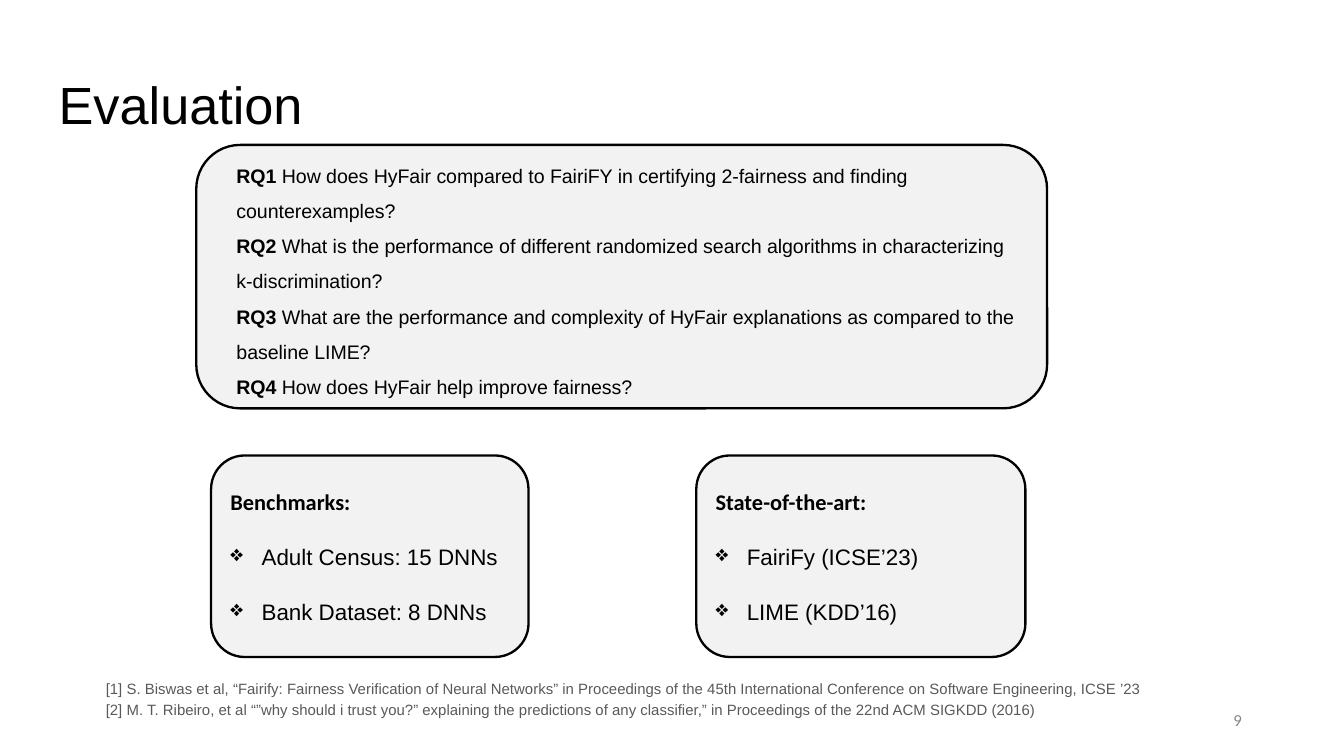
from dataclasses import dataclass

from lxml import etree
from pptx import Presentation
from pptx import util as u
from pptx.dml import color
from pptx.enum import shapes, text
from pptx.oxml import ns


@dataclass(frozen=True)
class Theme:
    black: str = "000000"
    panel: str = "F2F2F2"
    reference: str = "595959"
    number: str = "888888"
    body_font: str = "Arial"
    heading_font: str = "Calibri"
    title_size: float = 28
    question_size: float = 10.5
    card_size: float = 12
    reference_size: float = 8
    number_size: float = 9
    line_width: float = 1.25


THEME = Theme()
NARROW = (0.18, 0.1)  # horizontal and vertical text margins in cm
WIDE = (0.25, 0.25)

QUESTIONS = [
    ("RQ1", "How does HyFair compared to FairiFY in certifying 2-fairness and finding counterexamples?"),
    ("RQ2", "What is the performance of different randomized search algorithms in characterizing k-discrimination?"),
    ("RQ3", "What are the performance and complexity of HyFair explanations as compared to the baseline LIME?"),
    ("RQ4", "How does HyFair help improve fairness?"),
]
CARDS = [
    (3.99, 6.0, "Benchmarks:", ["Adult Census: 15 DNNs", "Bank Dataset: 8 DNNs"]),
    (13.16, 6.22, "State-of-the-art:", ["FairiFy (ICSE’23)", "LIME (KDD’16)"]),
]
REFERENCES = [
    "[1] S. Biswas et al, “Fairify: Fairness Verification of Neural Networks” in Proceedings of the "
    "45th International Conference on Software Engineering, ICSE ’23",
    "[2] M. T. Ribeiro, et al “”why should i trust you?” explaining the predictions of any classifier,” "
    "in Proceedings of the 22nd ACM SIGKDD (2016)",
]


def apply(target, values):
    for name, value in values.items():
        setattr(target, name, value)


def lengths(*values):
    return [u.Cm(value) for value in values]


def format_frame(frame, margins, anchor=text.MSO_ANCHOR.TOP):
    horizontal, vertical = lengths(*margins)
    apply(frame, {
        "word_wrap": True,
        "auto_size": text.MSO_AUTO_SIZE.NONE,
        "vertical_anchor": anchor,
        "margin_left": horizontal,
        "margin_right": horizontal,
        "margin_top": vertical,
        "margin_bottom": vertical,
    })
    return frame


def add_run(paragraph, words, size, rgb=THEME.black, name=THEME.body_font, bold=False):
    run = paragraph.add_run()
    run.text = words
    apply(run.font, {"size": u.Pt(size), "name": name, "bold": bold})
    run.font.color.rgb = color.RGBColor.from_string(rgb)


def add_paragraph(frame, index, **values):
    paragraph = frame.add_paragraph() if index else frame.paragraphs[0]
    apply(paragraph, {"alignment": text.PP_ALIGN.LEFT, **values})
    return paragraph


def indent(paragraph, left, hanging=0, bullet=None):
    properties = paragraph._p.get_or_add_pPr()
    properties.set("marL", str(u.Cm(left)))
    properties.set("indent", str(-u.Cm(hanging)))
    if bullet:
        bullet_color = etree.SubElement(properties, ns.qn("a:buClr"))
        etree.SubElement(bullet_color, ns.qn("a:srgbClr"), val=THEME.black)
        etree.SubElement(properties, ns.qn("a:buChar"), char=bullet)


def add_panel(container, left, top, width, height):
    panel = container.add_shape(
        shapes.MSO_SHAPE.ROUNDED_RECTANGLE, *lengths(left, top, width, height))
    panel.shadow.inherit = False
    panel.fill.solid()
    panel.fill.fore_color.rgb = color.RGBColor.from_string(THEME.panel)
    panel.line.color.rgb = color.RGBColor.from_string(THEME.black)
    panel.line.width = u.Pt(THEME.line_width)
    return panel


def add_text_box(container, box, margins, anchor=text.MSO_ANCHOR.TOP):
    return format_frame(container.add_textbox(*lengths(*box)).text_frame, margins, anchor)


def add_title(slide, words):
    title = slide.shapes.title
    apply(title, dict(zip(("left", "top", "width", "height"), lengths(0.86, 1.24, 23.67, 1.6))))
    frame = format_frame(title.text_frame, WIDE)
    add_run(add_paragraph(frame, 0, line_spacing=0.9), words, THEME.title_size)


def add_questions(slide):
    group = slide.shapes.add_group_shape()
    add_panel(group.shapes, 3.71, 2.74, 16.08, 4.98)
    frame = add_text_box(group.shapes, (3.99, 2.77, 15.39, 4.9), NARROW)
    for index, (label, question) in enumerate(QUESTIONS):
        paragraph = add_paragraph(frame, index, line_spacing=1.5)
        indent(paragraph, 0.3)
        add_run(paragraph, label, THEME.question_size, bold=True)
        add_run(paragraph, f" {question}", THEME.question_size)


def add_card(slide, left, width, heading, items):
    panel = add_panel(slide.shapes, left, 8.61, width, 3.81)
    frame = format_frame(panel.text_frame, NARROW, text.MSO_ANCHOR.MIDDLE)
    add_run(add_paragraph(frame, 0), heading, THEME.card_size, name=THEME.heading_font, bold=True)
    for index, item in enumerate(items, start=1):
        paragraph = add_paragraph(frame, index, space_before=u.Pt(15))
        indent(paragraph, 0.59, 0.59, "❖")
        add_run(paragraph, item, THEME.card_size)


def add_references(slide):
    frame = add_text_box(slide.shapes, (1.75, 12.55, 20.96, 1.5), WIDE)
    for index, reference in enumerate(REFERENCES):
        paragraph = add_paragraph(frame, index, line_spacing=1.15)
        add_run(paragraph, reference, THEME.reference_size, THEME.reference)


def add_slide_number(slide, number):
    frame = add_text_box(slide.shapes, (17.93, 13.23, 5.72, 0.76), NARROW, text.MSO_ANCHOR.MIDDLE)
    paragraph = add_paragraph(frame, 0, alignment=text.PP_ALIGN.RIGHT)
    add_run(paragraph, number, THEME.number_size, THEME.number, THEME.heading_font)


def main():
    presentation = Presentation()
    apply(presentation, {"slide_width": u.Cm(25.4), "slide_height": u.Cm(14.29)})
    slide = presentation.slides.add_slide(presentation.slide_layouts[5])

    # Title and research questions
    add_title(slide, "Evaluation")
    add_questions(slide)

    # Benchmarks and compared tools
    for card in CARDS:
        add_card(slide, *card)

    # Footer
    add_references(slide)
    add_slide_number(slide, "9")
    presentation.save("out.pptx")


if __name__ == "__main__":
    main()
